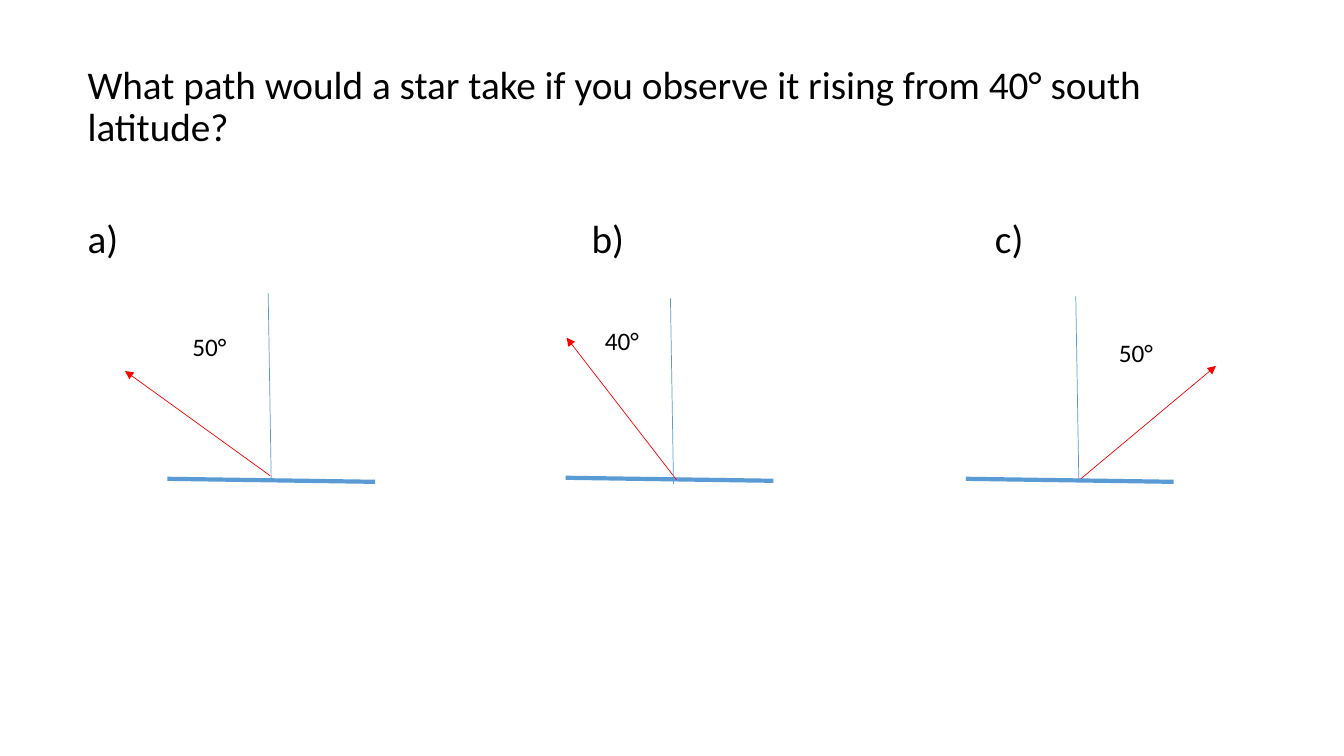
from pptx import Presentation
from pptx import util as u
from pptx.dml.color import RGBColor
from pptx.enum import shapes, text
from pptx.oxml.ns import qn
from lxml import etree

# Content: points are (x, y) in inches
QUESTION = "What path would a star take if you observe it rising from 40° south latitude?"
OPTIONS = "a)\tb)\tc)"
OPTION_TABS = (5, 9)
DIAGRAMS = [
    {"angle": "50°", "label": (1.81, 3.24), "horizon": (1.66, 4.75),
     "zenith": (2.69, 4.75), "star": ((2.68, 4.72), (1.24, 3.68))},
    {"angle": "40°", "label": (5.9, 3.18), "horizon": (5.61, 4.74),
     "zenith": (6.68, 4.8), "star": ((6.71, 4.76), (5.62, 3.35))},
    {"angle": "50°", "label": (11, 3.3), "horizon": (9.58, 4.75),
     "zenith": (10.7, 4.78), "star": ((10.72, 4.75), (12.06, 3.63))},
]
HORIZON_SPAN = (2.06, 0.03)
ZENITH_SPAN = (-0.03, -1.84)
COLORS = {"text": "000000", "sky": "5B9BD5", "star": "FF0000"}

presentation = Presentation()
presentation.slide_width, presentation.slide_height = u.Inches(13.33), u.Inches(7.5)
slide = presentation.slides.add_slide(presentation.slide_layouts[6])


def add_text(lines, left, top, width, height, size=18, wrap=False, spacing=1.0, gap=0, tabs=()):
    box = slide.shapes.add_textbox(*map(u.Inches, (left, top, width, height)))
    frame = box.text_frame
    frame.word_wrap = wrap
    frame.auto_size = text.MSO_AUTO_SIZE.NONE if wrap else text.MSO_AUTO_SIZE.SHAPE_TO_FIT_TEXT
    for index, line in enumerate(lines):
        paragraph = frame.add_paragraph() if index else frame.paragraphs[0]
        paragraph.line_spacing = spacing
        paragraph.space_before = u.Pt(gap if index else 0)
        if "\t" in line:
            tab_list = etree.SubElement(paragraph._p.get_or_add_pPr(), qn("a:tabLst"))
            for position in tabs:
                etree.SubElement(tab_list, qn("a:tab"), pos=str(u.Inches(position)), algn="l")
        run = paragraph.add_run()
        run.text = line
        run.font.size, run.font.name = u.Pt(size), "Calibri"
        run.font.color.rgb = RGBColor.from_string(COLORS["text"])


def add_line(start, end, color, width=0.5, arrow=False):
    line = slide.shapes.add_connector(
        shapes.MSO_CONNECTOR.STRAIGHT, *map(u.Inches, (*start, *end)))
    line.line.color.rgb = RGBColor.from_string(COLORS[color])
    line.line.width = u.Pt(width)
    if arrow:
        etree.SubElement(line.line._get_or_add_ln(), qn("a:tailEnd"), type="triangle")
    etree.SubElement(line._element.spPr, qn("a:effectLst"))


def shift(point, span):
    return point[0] + span[0], point[1] + span[1]


# Question and option letters
add_text([QUESTION, OPTIONS], 0.77, 0.6, 11.5, 6.47,
         size=28, wrap=True, spacing=0.9, gap=50, tabs=OPTION_TABS)

# Horizon, star path, zenith line and angle of each option
for diagram in DIAGRAMS:
    horizon, zenith = diagram["horizon"], diagram["zenith"]
    add_line(horizon, shift(horizon, HORIZON_SPAN), "sky", width=3)
    add_line(*diagram["star"], "star", arrow=True)
    add_line(zenith, shift(zenith, ZENITH_SPAN), "sky")
    add_text([diagram["angle"]], *diagram["label"], 0.56, 0.4)

presentation.save("out.pptx")
